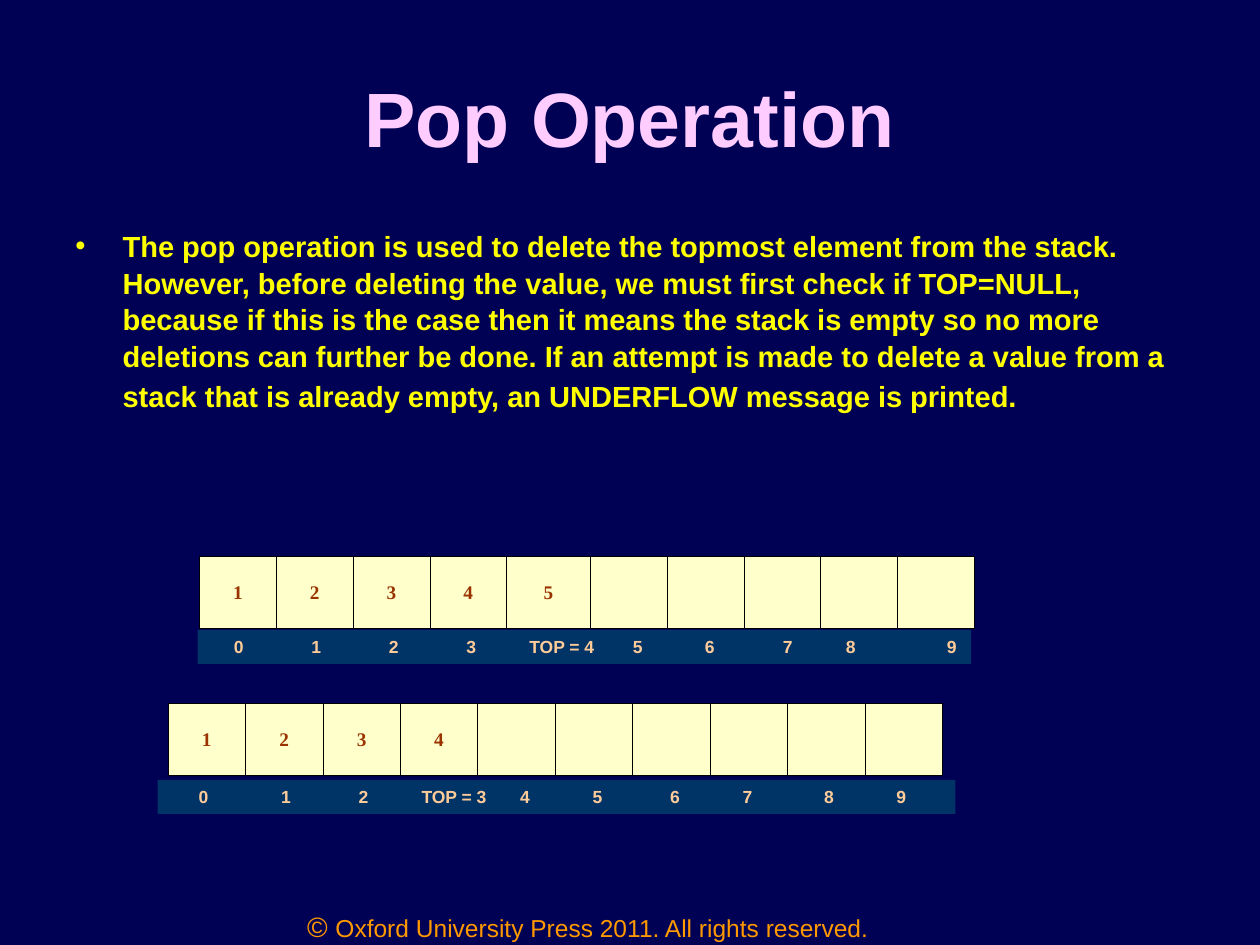
from pptx import Presentation
from pptx.dml.color import RGBColor
from pptx.enum.shapes import MSO_SHAPE as Shape
from pptx.enum.text import MSO_ANCHOR as Anchor, PP_ALIGN as Align
from pptx.oxml import parse_xml
from pptx.oxml.ns import nsdecls
from pptx.util import Pt


def color(hex_value):
    return RGBColor.from_string(hex_value)


def element(tag, attributes="", children=""):
    return parse_xml(f'<a:{tag} {nsdecls("a")} {attributes}>{children}</a:{tag}>')


def add_run(paragraph, text, size, hex_value, bold=True, font="Arial"):
    run = paragraph.add_run()
    run.text = text
    run.font.name = font
    run.font.size = Pt(size)
    run.font.bold = bold
    run.font.color.rgb = color(hex_value)


def add_text_box(slide, box, anchor=Anchor.TOP, align=Align.LEFT):
    """Add a wrapping text box and return its first paragraph."""
    frame = slide.shapes.add_textbox(*map(Pt, box)).text_frame
    frame.word_wrap = True
    frame.vertical_anchor = anchor
    paragraph = frame.paragraphs[0]
    paragraph.alignment = align
    return paragraph


def add_title(slide, box):
    paragraph = add_text_box(slide, box, Anchor.MIDDLE, Align.CENTER)
    add_run(paragraph, "Pop Operation", 44, "FFCCFF")


def add_body(slide, box):
    paragraph = add_text_box(slide, box)
    paragraph.line_spacing = 1.05
    # Hanging bullet
    properties = paragraph._p.get_or_add_pPr()
    properties.set("marL", str(Pt(27)))
    properties.set("indent", str(-Pt(27)))
    properties.append(element("buClr", children='<a:srgbClr val="FFFF00"/>'))
    properties.append(element("buFont", 'typeface="Arial"'))
    properties.append(element("buChar", 'char="•"'))
    add_run(paragraph, "The pop operation is used to delete the topmost element from the stack. "
            "However, before deleting the value, we must first check if TOP=NULL, "
            "because if this is the case then it means the stack is empty so no more "
            "deletions can further be done. If an attempt is made to delete a value from a "
            "stack that is already empty, an UNDERFLOW message is printed.", 16.6, "FFFF00")
    # The larger closing space sets the height of the last line
    add_run(paragraph, " ", 18.5, "000000", bold=False)


def add_stack(slide, box, values, widths):
    """Draw the stack as a one-row table."""
    table = slide.shapes.add_table(1, len(widths), *map(Pt, box)).table
    table.first_row = table.horz_banding = False
    for index, width in enumerate(widths):
        table.columns[index].width = Pt(width)
        cell = table.cell(0, index)
        cell.vertical_anchor = Anchor.MIDDLE
        paragraph = cell.text_frame.paragraphs[0]
        paragraph.alignment = Align.CENTER
        if index < len(values):
            add_run(paragraph, values[index], 11, "993300", font="Times New Roman")
        properties = cell._tc.get_or_add_tcPr()
        for side in ("lnL", "lnR", "lnT", "lnB"):
            properties.append(element(
                side, f'w="{Pt(0.45)}"',
                '<a:solidFill><a:srgbClr val="000000"/></a:solidFill>'))
        cell.fill.solid()
        cell.fill.fore_color.rgb = color("FFFFCC")


def add_index_strip(slide, box, labels):
    """Draw the index bar; labels maps each text to its centre in the bar."""
    shape = slide.shapes.add_shape(Shape.RECTANGLE, *map(Pt, box))
    shape.shadow.inherit = False
    shape.fill.solid()
    shape.fill.fore_color.rgb = color("003366")
    shape.line.fill.background()
    frame = shape.text_frame
    frame.margin_left = frame.margin_right = 0
    frame.vertical_anchor = Anchor.MIDDLE
    frame.word_wrap = True
    paragraph = frame.paragraphs[0]
    paragraph.alignment = Align.LEFT
    # One centred tab stop for each label
    stops = "".join(f'<a:tab pos="{Pt(centre)}" algn="ctr"/>' for centre in labels.values())
    paragraph._p.get_or_add_pPr().append(element("tabLst", children=stops))
    add_run(paragraph, "".join(f"\t{label}" for label in labels), 10, "FFCC99")


def add_footer(slide, box):
    paragraph = add_text_box(slide, box, align=Align.CENTER)
    add_run(paragraph, "© ", 16, "FF9900", bold=False)
    add_run(paragraph, "Oxford University Press 2011. All rights reserved.", 14,
            "FF9900", bold=False)


def main():
    presentation = Presentation()
    presentation.slide_width, presentation.slide_height = Pt(720), Pt(540)
    slide = presentation.slides.add_slide(presentation.slide_layouts[6])
    slide.background.fill.solid()
    slide.background.fill.fore_color.rgb = color("000055")

    add_footer(slide, (144, 516, 384, 24))
    add_title(slide, (36, 21.6, 648, 90))
    add_body(slide, (36, 126, 648, 135))

    # Stack before the pop
    add_stack(slide, (114, 318, 443, 41.2), "12345", [43.9] * 4 + [47.9] + [43.9] * 5)
    add_index_strip(slide, (113, 360, 442, 19.4), {
        "0": 23.4, "1": 67.7, "2": 112, "3": 156.3, "TOP = 4": 208,
        "5": 251.4, "6": 292.6, "7": 337.1, "8": 373.1, "9": 430.9})

    # Stack after the pop
    add_stack(slide, (96, 402, 442.5, 41.2), "1234", [44.25] * 10)
    add_index_strip(slide, (90, 445.7, 456, 19.4), {
        "0": 26.3, "1": 73.4, "2": 117.7, "TOP = 3": 169.4, "4": 210,
        "5": 251.4, "6": 295.7, "7": 337.1, "8": 383.7, "9": 424.9})

    presentation.save("out.pptx")


if __name__ == "__main__":
    main()
